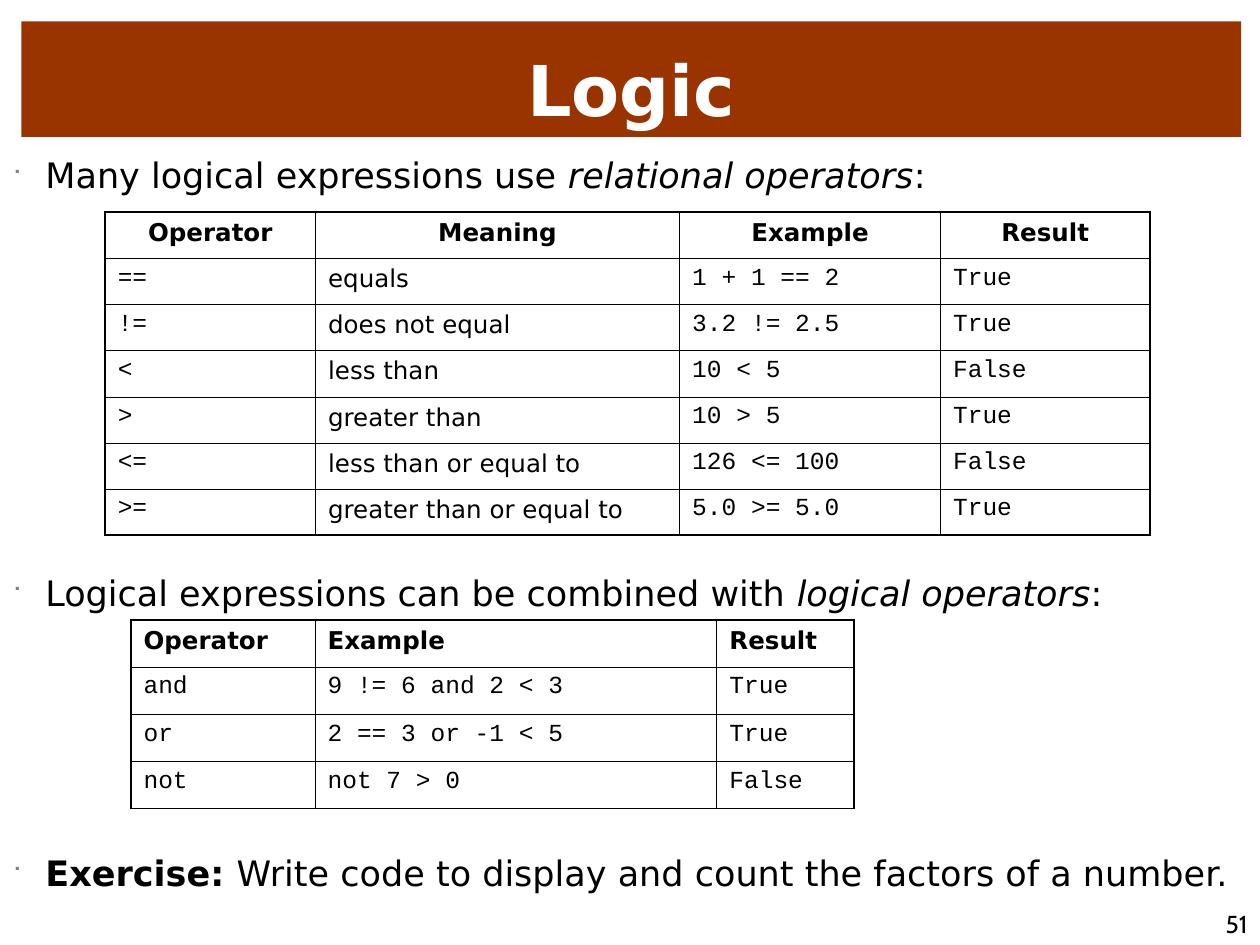
import dataclasses
import typing

import lxml.etree
import pptx
import pptx.dml.color
import pptx.enum.text
import pptx.oxml.ns
import pptx.util

Cm = pptx.util.Cm
Pt = pptx.util.Pt
qn = pptx.oxml.ns.qn
Align = pptx.enum.text.PP_ALIGN
Anchor = pptx.enum.text.MSO_ANCHOR


@dataclasses.dataclass(frozen=True)
class Theme:
    ink: str = "000000"
    paper: str = "FFFFFF"
    band: str = "993300"
    mark: str = "808080"
    sans: str = "DejaVu Sans"
    mono: str = "Courier New"
    round: str = "Cabin"
    head: float = 40
    body: float = 20
    small: float = 14
    thick: float = 1.08
    thin: float = 0.45


THEME = Theme()


@dataclasses.dataclass(frozen=True)
class Box:
    left: float
    top: float
    width: float
    height: float


@dataclasses.dataclass(frozen=True)
class Phrase:
    text: str
    bold: bool = False
    slant: bool = False


@dataclasses.dataclass(frozen=True)
class Point:
    gap: float
    words: tuple[Phrase, ...]


@dataclasses.dataclass(frozen=True)
class Grid:
    left: float
    top: float
    widths: tuple[float, ...]
    height: float
    align: Align
    rows: tuple[tuple[str, ...], ...]
    prose: tuple[int, ...] = ()


POINTS = (
    Point(5, (Phrase("Many logical expressions use "),
              Phrase("relational operators", slant=True), Phrase(":"))),
    Point(214.5, (Phrase("Logical expressions can be combined with "),
                  Phrase("logical operators", slant=True), Phrase(":"))),
    Point(136, (Phrase("Exercise: ", bold=True),
                Phrase("Write code to display and count the factors of a number."))),
)

GRIDS = (
    Grid(2.64, 12.5, (3.71, 8.1, 2.77), 0.95, Align.LEFT, (
        ("Operator", "Example", "Result"),
        ("and", "9 != 6 and 2 < 3", "True"),
        ("or", "2 == 3 or -1 < 5", "True"),
        ("not", "not 7 > 0", "False"),
    )),
    Grid(2.12, 4.28, (4.24, 7.34, 5.26, 4.22), 0.93, Align.CENTER, (
        ("Operator", "Meaning", "Example", "Result"),
        ("==", "equals", "1 + 1 == 2", "True"),
        ("!=", "does not equal", "3.2 != 2.5", "True"),
        ("<", "less than", "10 < 5", "False"),
        (">", "greater than", "10 > 5", "True"),
        ("<=", "less than or equal to", "126 <= 100", "False"),
        (">=", "greater than or equal to", "5.0 >= 5.0", "True"),
    ), prose=(1,)),
)


def paint(code: str) -> pptx.dml.color.RGBColor:
    return pptx.dml.color.RGBColor.from_string(code)


def style(run: typing.Any, face: str, size: float, tint: str = THEME.ink,
          bold: bool = False, slant: bool = False) -> None:
    font = run.font
    font.name, font.size = face, Pt(size)
    font.bold, font.italic = bold, slant
    font.color.rgb = paint(tint)


def place(shape: typing.Any, box: Box) -> None:
    shape.left, shape.top = Cm(box.left), Cm(box.top)
    shape.width, shape.height = Cm(box.width), Cm(box.height)


def node(root: typing.Any, tag: str, **attrs: str) -> typing.Any:
    return lxml.etree.SubElement(root, qn(tag), attrs)


def add_mark(para: typing.Any) -> None:
    props = para._p.get_or_add_pPr()
    props.set("marL", str(Cm(0.66)))
    props.set("indent", str(-Cm(0.66)))
    node(node(props, "a:buClr"), "a:srgbClr", val=THEME.mark)
    node(props, "a:buSzPct", val="60000")
    node(props, "a:buFont", typeface="Wingdings")
    node(props, "a:buChar", char="■")


def draw_title(shape: typing.Any, text: str) -> None:
    place(shape, Box(0.43, 0.43, 24.59, 2.33))
    shape.fill.solid()
    shape.fill.fore_color.rgb = paint(THEME.band)
    frame = shape.text_frame
    frame.text = text
    frame.auto_size = pptx.enum.text.MSO_AUTO_SIZE.NONE
    frame.vertical_anchor = Anchor.BOTTOM
    para = frame.paragraphs[0]
    para.alignment = Align.CENTER
    style(para.runs[0], THEME.sans, THEME.head, THEME.paper, bold=True)


def draw_points(shape: typing.Any, points: tuple[Point, ...]) -> None:
    place(shape, Box(0, 2.97, 25.4, 15.44))
    frame = shape.text_frame
    frame.auto_size = pptx.enum.text.MSO_AUTO_SIZE.NONE
    for spot, point in enumerate(points):
        para = frame.add_paragraph() if spot else frame.paragraphs[0]
        para.space_before = Pt(point.gap)
        add_mark(para)
        for phrase in point.words:
            run = para.add_run()
            run.text = phrase.text
            style(run, THEME.sans, THEME.body, bold=phrase.bold, slant=phrase.slant)


def edge(cell: typing.Any, outer: dict[str, bool]) -> None:
    props = cell._tc.get_or_add_tcPr()
    for side, rim in outer.items():
        width = Pt(THEME.thick if rim else THEME.thin)
        line = node(props, f"a:ln{side}", w=str(width))
        node(node(line, "a:solidFill"), "a:srgbClr", val=THEME.ink)


def draw_grid(slide: typing.Any, grid: Grid) -> None:
    count, span = len(grid.rows), len(grid.widths)
    table = slide.shapes.add_table(
        count, span, Cm(grid.left), Cm(grid.top),
        Cm(sum(grid.widths)), Cm(grid.height * count)).table
    table.first_row = table.horz_banding = False
    for col, width in zip(table.columns, grid.widths):
        col.width = Cm(width)
    for y, texts in enumerate(grid.rows):
        table.rows[y].height = Cm(grid.height)
        for x, text in enumerate(texts):
            cell = table.cell(y, x)
            edge(cell, {"L": x == 0, "R": x == span - 1,
                        "T": y == 0, "B": y == count - 1})
            cell.fill.background()
            para = cell.text_frame.paragraphs[0]
            para.text = text
            para.space_before = Pt(3.5)
            para.alignment = Align.LEFT if y else grid.align
            face = THEME.mono if y and x not in grid.prose else THEME.sans
            style(para.runs[0], face, THEME.small, bold=y == 0)


def draw_number(slide: typing.Any, text: str) -> None:
    frame = slide.shapes.add_textbox(Cm(21.59), Cm(17.78), Cm(3.81), Cm(1.27)).text_frame
    frame.text = text
    frame.word_wrap = True
    frame.vertical_anchor = Anchor.BOTTOM
    para = frame.paragraphs[0]
    para.alignment = Align.RIGHT
    style(para.runs[0], THEME.round, THEME.small)


def main() -> None:
    deck = pptx.Presentation()
    deck.slide_width, deck.slide_height = Cm(25.4), Cm(19.05)
    slide = deck.slides.add_slide(deck.slide_layouts[1])
    draw_title(slide.shapes.title, "Logic")
    draw_points(slide.placeholders[1], POINTS)
    for grid in GRIDS:
        draw_grid(slide, grid)
    draw_number(slide, "51")
    deck.save("out.pptx")


if __name__ == "__main__":
    main()
